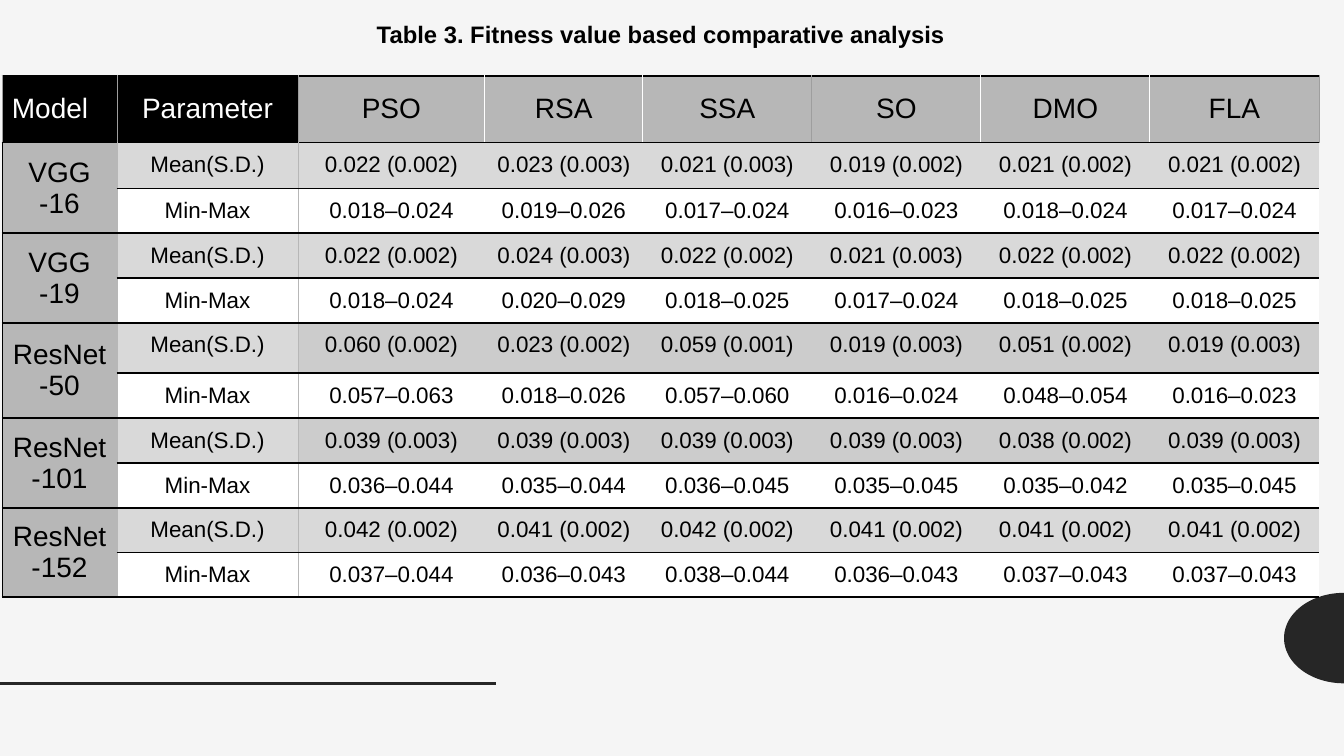
import math
from dataclasses import dataclass
from lxml import etree
from pptx import Presentation
from pptx import util as u
from pptx.dml.color import RGBColor
from pptx.enum import shapes, text
from pptx.oxml import ns


@dataclass(frozen=True)
class Theme:
    font: str = "Arial"
    backdrop: str = "F5F5F5"
    accent: str = "262626"
    black: str = "000000"
    white: str = "FFFFFF"
    head: str = "B7B7B7"
    divider: str = "9E9E9E"
    band: str = "D9D9D9"
    strong_band: str = "CCCCCC"
    title_size: int = 17
    head_size: int = 20
    value_size: int = 16
    thin: float = 0.75
    thick: float = 1.5


theme = Theme()


def write(target, content, size, color=theme.black, bold=False,
          align=text.PP_ALIGN.CENTER, anchor=text.MSO_ANCHOR.MIDDLE):
    target.vertical_anchor = anchor
    target.margin_left = target.margin_right = u.Cm(0.25)
    target.margin_top = target.margin_bottom = u.Cm(0.25)
    frame = getattr(target, "text_frame", target)
    frame.word_wrap = True
    para = frame.paragraphs[0]
    para.alignment = align
    span = para.add_run()
    span.text = content
    span.font.name = theme.font
    span.font.size = u.Pt(size)
    span.font.bold = bold
    span.font.color.rgb = RGBColor.from_string(color)


def paint(cell, fill, **borders):
    properties = cell._tc.get_or_add_tcPr()
    for side in "LRTB":
        if side in borders:
            color, width = borders[side]
            line = etree.SubElement(properties, ns.qn(f"a:ln{side}"), w=str(u.Pt(width)))
            solid = etree.SubElement(line, ns.qn("a:solidFill"))
            etree.SubElement(solid, ns.qn("a:srgbClr"), val=color)
    cell.fill.solid()
    cell.fill.fore_color.rgb = RGBColor.from_string(fill)


deck = Presentation()
deck.slide_width, deck.slide_height = u.Cm(33.87), u.Cm(19.05)
page = deck.slides.add_slide(deck.slide_layouts[5])
page.background.fill.solid()
page.background.fill.fore_color.rgb = RGBColor.from_string(theme.backdrop)

center_x, center_y, radius_x, radius_y = 33.87, 16.08, 1.51, 1.14
arc = []
for step in range(49):
    angle = math.pi * (0.5 + step / 48)
    arc.append((u.Cm(center_x + radius_x * math.cos(angle)),
                u.Cm(center_y + radius_y * math.sin(angle))))
builder = page.shapes.build_freeform(*arc[0])
builder.add_line_segments(arc[1:], close=True)
half_disc = builder.convert_to_shape()
half_disc.shadow.inherit = False
half_disc.fill.solid()
half_disc.fill.fore_color.rgb = RGBColor.from_string(theme.accent)
half_disc.line.fill.background()

rule = page.shapes.add_connector(
    shapes.MSO_CONNECTOR.STRAIGHT, 0, u.Cm(17.22), u.Cm(12.5), u.Cm(17.22))
rule.line.color.rgb = RGBColor.from_string(theme.accent)
rule.line.width = u.Pt(2)
etree.SubElement(rule._element.spPr, ns.qn("a:effectLst"))

headers = ["Model", "Parameter", "PSO", "RSA", "SSA", "SO", "DMO", "FLA"]
results = [
    ("VGG -16", theme.band,
     ["0.022 (0.002)", "0.023 (0.003)", "0.021 (0.003)", "0.019 (0.002)", "0.021 (0.002)", "0.021 (0.002)"],
     ["0.018–0.024", "0.019–0.026", "0.017–0.024", "0.016–0.023", "0.018–0.024", "0.017–0.024"]),
    ("VGG -19", theme.band,
     ["0.022 (0.002)", "0.024 (0.003)", "0.022 (0.002)", "0.021 (0.003)", "0.022 (0.002)", "0.022 (0.002)"],
     ["0.018–0.024", "0.020–0.029", "0.018–0.025", "0.017–0.024", "0.018–0.025", "0.018–0.025"]),
    ("ResNet-50", theme.strong_band,
     ["0.060 (0.002)", "0.023 (0.002)", "0.059 (0.001)", "0.019 (0.003)", "0.051 (0.002)", "0.019 (0.003)"],
     ["0.057–0.063", "0.018–0.026", "0.057–0.060", "0.016–0.024", "0.048–0.054", "0.016–0.023"]),
    ("ResNet-101", theme.strong_band,
     ["0.039 (0.003)", "0.039 (0.003)", "0.039 (0.003)", "0.039 (0.003)", "0.038 (0.002)", "0.039 (0.003)"],
     ["0.036–0.044", "0.035–0.044", "0.036–0.045", "0.035–0.045", "0.035–0.042", "0.035–0.045"]),
    ("ResNet-152", theme.band,
     ["0.042 (0.002)", "0.041 (0.002)", "0.042 (0.002)", "0.041 (0.002)", "0.041 (0.002)", "0.041 (0.002)"],
     ["0.037–0.044", "0.036–0.043", "0.038–0.044", "0.036–0.043", "0.037–0.043", "0.037–0.043"]),
]
widths = [2.9, 4.56, 4.71, 3.98] + [4.26] * 4
heights = [1.68, 1.16, 1.13, 1.13, 1.13, 1.27] + [1.13] * 5

table_frame = page.shapes.add_table(
    len(heights), len(widths), u.Cm(0.05), u.Cm(1.91), u.Cm(sum(widths)), u.Cm(sum(heights)))
table = table_frame.table
table.first_row = table.horz_banding = False
table._tbl.tblPr.find(ns.qn("a:tableStyleId")).text = "{2D5ABB26-0587-4C30-8999-92F81FD0307C}"
for column, width in zip(table.columns, widths):
    column.width = u.Cm(width)
for row, height in zip(table.rows, heights):
    row.height = u.Cm(height)

thick_black = (theme.black, theme.thick)
model_edge = (theme.head, theme.thin)
gray, white = (theme.divider, theme.thin), (theme.white, theme.thin)
dividers = [gray, gray, gray, white, white, gray, white, white, gray]
for index, name in enumerate(headers):
    cell = table.cell(0, index)
    dark = index < 2
    paint(cell, theme.black if dark else theme.head, L=dividers[index],
          R=dividers[index + 1], T=thick_black, B=thick_black)
    write(cell, name, theme.head_size, color=theme.white if dark else theme.black,
          align=text.PP_ALIGN.CENTER if index else text.PP_ALIGN.LEFT)

for group, (model, band, means, ranges) in enumerate(results):
    top = 1 + 2 * group
    table.cell(top, 0).merge(table.cell(top + 1, 0))
    for offset in range(2):
        paint(table.cell(top + offset, 0), theme.head, L=(theme.black, theme.thin),
              R=model_edge, T=thick_black, B=thick_black)
    write(table.cell(top, 0), model, theme.head_size)
    for offset, values in enumerate([["Mean(S.D.)"] + means, ["Min-Max"] + ranges]):
        for index, value in enumerate(values, start=1):
            cell = table.cell(top + offset, index)
            borders = {"B" if offset else "T": thick_black}
            if index == 1:
                borders["L"] = model_edge
            mean_fill = theme.band if index == 1 else band
            paint(cell, theme.white if offset else mean_fill, **borders)
            write(cell, value, theme.value_size, anchor=text.MSO_ANCHOR.TOP)

title = page.shapes.title
title.left, title.top, title.width, title.height = u.Cm(6.71), u.Cm(0.23), u.Cm(19.89), u.Cm(1.24)
write(title.text_frame, "Table 3. Fitness value based comparative analysis",
      theme.title_size, bold=True)

deck.save("out.pptx")
